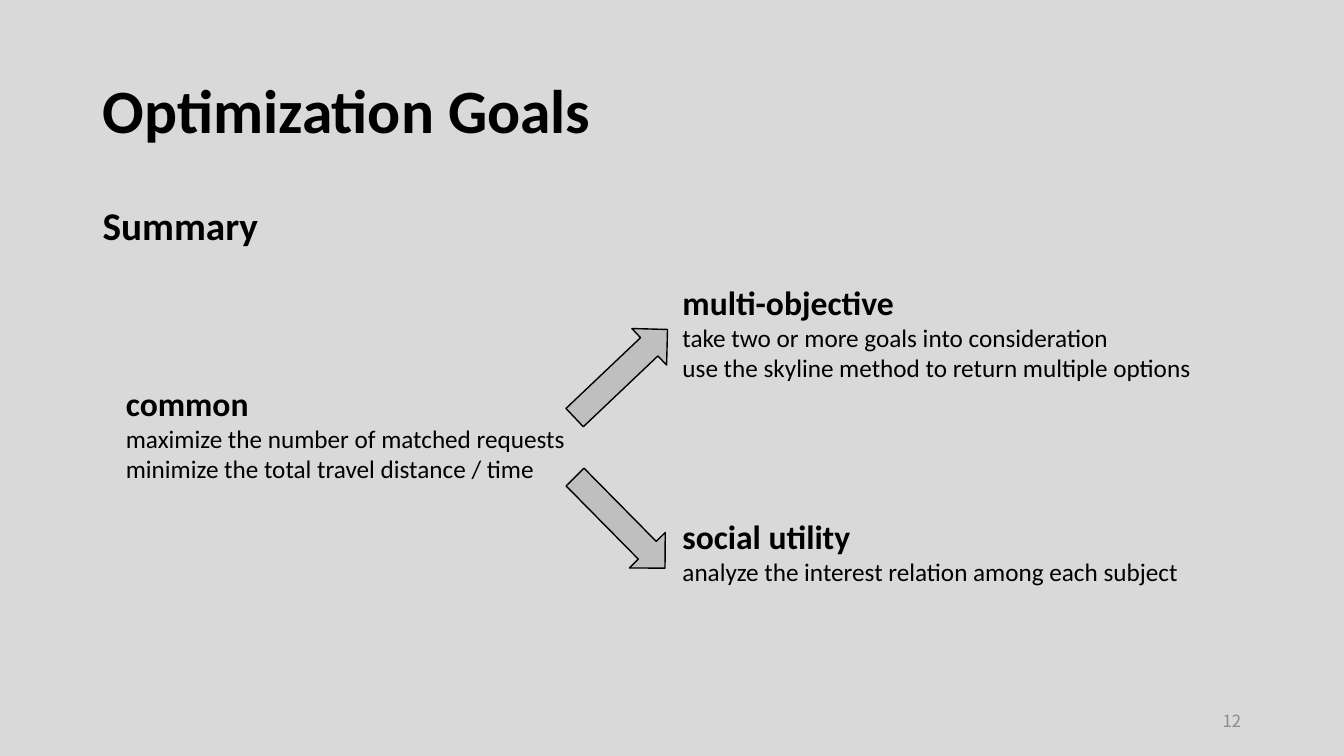
import pptx
import pptx.util
from dataclasses import dataclass
from pptx.dml.color import RGBColor
from pptx.enum.shapes import MSO_SHAPE
from pptx.enum.text import MSO_ANCHOR, MSO_AUTO_SIZE, PP_ALIGN

# Content: goals carry left, top, width, height in inches
TITLE = "Optimization Goals"
SUBTITLE = "Summary"
PAGE_NUMBER = "12"
GOALS = [
    ((1.15, 3.75, 4.61, 1.11), "common",
     ["maximize the number of matched requests",
      "minimize the total travel distance / time"]),
    ((6.67, 2.75, 5.32, 1.11), "multi-objective",
     ["take two or more goals into consideration",
      "use the skyline method to return multiple options"]),
    ((6.67, 5.07, 5.21, 0.81), "social utility",
     ["analyze the interest relation among each subject"]),
]
ARROWS = [(5.91, 3.07, 226.5), (5.9, 4.55, 315.4)]  # left, top, rotation
ARROW_SIZE = (0.5, 1.27)
SLIDE_SIZE = (13.33, 7.5)
MARGIN = 0.92
CONTENT_WIDTH = SLIDE_SIZE[0] - 2 * MARGIN


@dataclass(frozen=True)
class Theme:
    font: str = "Calibri"
    number_font: str = "Noto Sans CJK SC"
    background: str = "D9D9D9"
    ink: str = "000000"
    muted: str = "8C8C8C"
    arrow: str = "BFBFBF"
    title: int = 44
    subtitle: int = 28
    heading: int = 24
    detail: int = 18
    number: int = 12


THEME = Theme()


def inches(values):
    return [pptx.util.Inches(value) for value in values]


def add_text(slide, box, lines, anchor=MSO_ANCHOR.TOP, color=THEME.ink, font=THEME.font):
    """Add a text box; each line is (text, size, bold)."""
    frame = slide.shapes.add_textbox(*inches(box)).text_frame
    frame.word_wrap = True
    frame.vertical_anchor = anchor
    for index, (text, size, bold) in enumerate(lines):
        paragraph = frame.paragraphs[0] if index == 0 else frame.add_paragraph()
        paragraph.text = text
        paragraph.font.name = font
        paragraph.font.size = pptx.util.Pt(size)
        paragraph.font.bold = bold
        paragraph.font.color.rgb = RGBColor.from_string(color)
    return frame


def add_arrow(slide, left, top, rotation):
    arrow = slide.shapes.add_shape(MSO_SHAPE.DOWN_ARROW, *inches((left, top, *ARROW_SIZE)))
    arrow.rotation = rotation
    arrow.shadow.inherit = False
    arrow.fill.solid()
    arrow.fill.fore_color.rgb = RGBColor.from_string(THEME.arrow)
    arrow.line.color.rgb = RGBColor.from_string(THEME.ink)
    arrow.line.width = pptx.util.Pt(1)


def main():
    presentation = pptx.Presentation()
    presentation.slide_width, presentation.slide_height = inches(SLIDE_SIZE)
    slide = presentation.slides.add_slide(presentation.slide_layouts[6])
    slide.background.fill.solid()
    slide.background.fill.fore_color.rgb = RGBColor.from_string(THEME.background)

    # Title and subtitle
    title = add_text(slide, (MARGIN, 0.4, CONTENT_WIDTH, 1.45),
                     [(TITLE, THEME.title, True)], MSO_ANCHOR.MIDDLE)
    subtitle = add_text(slide, (MARGIN, 2, CONTENT_WIDTH, 4.76),
                        [(SUBTITLE, THEME.subtitle, True)])
    for frame in (title, subtitle):
        frame.paragraphs[0].line_spacing = 0.9
    subtitle.paragraphs[0].space_before = pptx.util.Pt(10)

    # Page number
    number = add_text(slide, (MARGIN + CONTENT_WIDTH - 3, 6.95, 3, 0.4),
                      [(PAGE_NUMBER, THEME.number, False)],
                      MSO_ANCHOR.MIDDLE, THEME.muted, THEME.number_font)
    number.paragraphs[0].alignment = PP_ALIGN.RIGHT

    # Goals
    for box, heading, details in GOALS:
        lines = [(heading, THEME.heading, True)]
        lines += [(detail, THEME.detail, False) for detail in details]
        frame = add_text(slide, box, lines)
        frame.word_wrap = False
        frame.auto_size = MSO_AUTO_SIZE.SHAPE_TO_FIT_TEXT

    # Arrows from the common goal to the other two
    for arrow in ARROWS:
        add_arrow(slide, *arrow)

    presentation.save("out.pptx")


if __name__ == "__main__":
    main()
